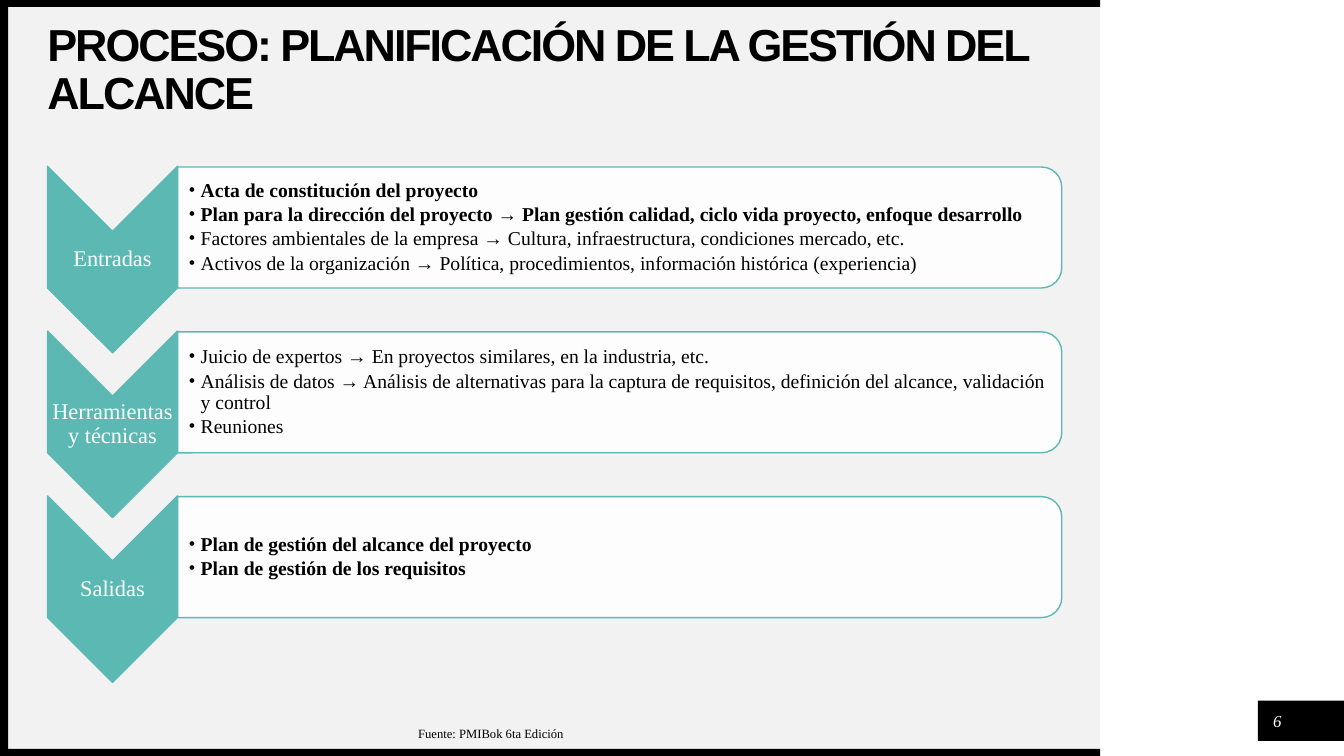
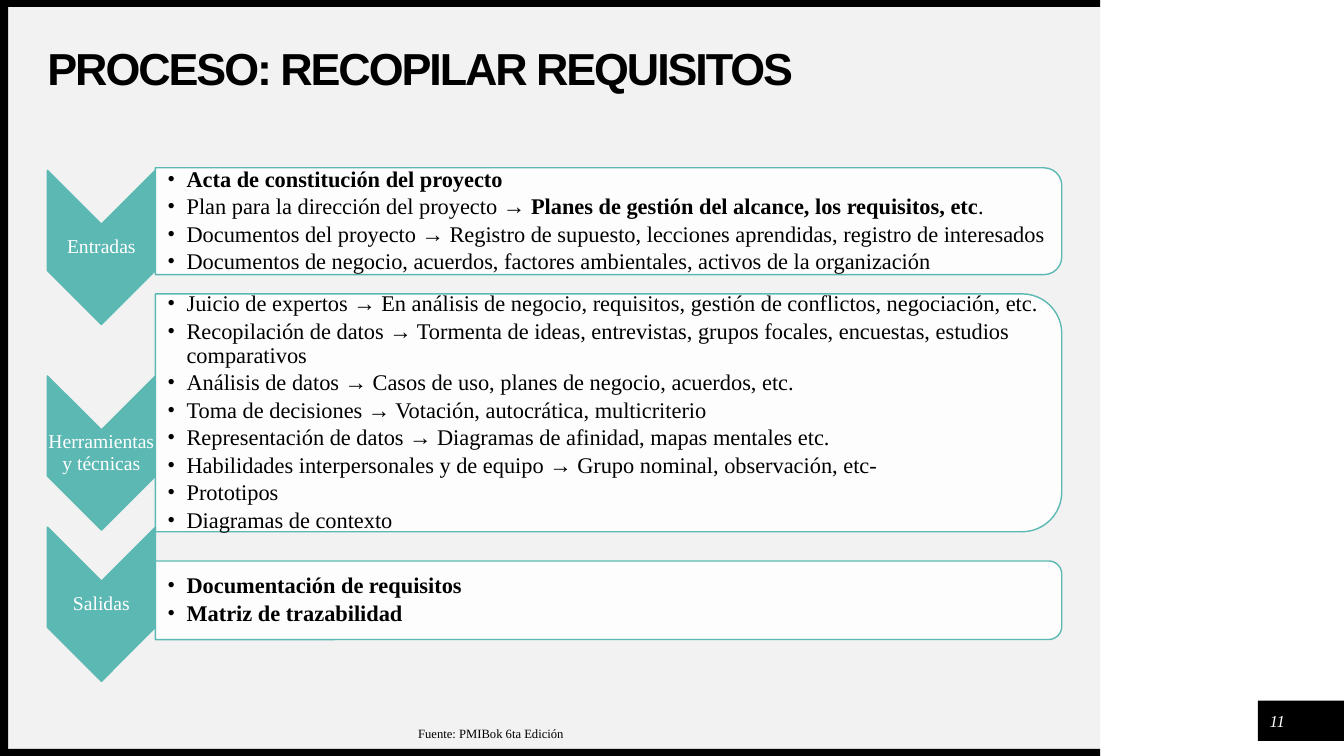
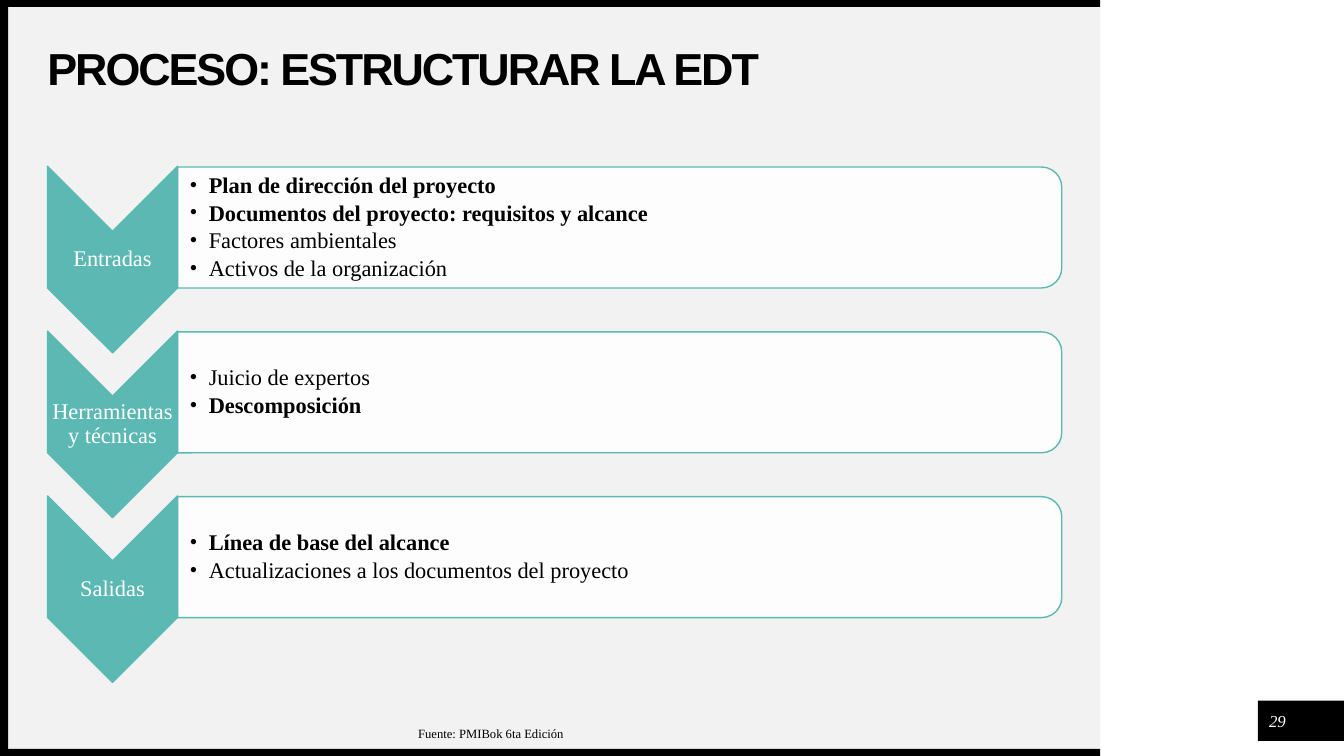
from dataclasses import dataclass
from typing import Optional

from lxml.etree import SubElement
from pptx import Presentation
from pptx.dml.color import RGBColor
from pptx.enum.shapes import MSO_SHAPE
from pptx.enum.text import MSO_ANCHOR, MSO_AUTO_SIZE, PP_ALIGN
from pptx.oxml.ns import qn
from pptx.util import Emu, Inches, Pt

COLORS = {"black": "000000", "white": "FFFFFF", "paper": "F2F2F2", "teal": "5CB8B3"}
BODY_FONT, TITLE_FONT = "Times New Roman", "Arial"
WIDTH, HEIGHT = Inches(13.33), Inches(7.5)

# All positions are percentages of the slide's width and height
LEFT, RIGHT = 3.53, 79
FRAME_RIGHT, BAR_WIDTH, BAR_HEIGHT = 81.85, 0.6, 0.93
CORNER = 1 / 6       # corner radius as a share of the panel's height
CORNER_INSET = 0.29  # share of the radius that the text keeps clear


@dataclass(frozen=True)
class Area:
    left: float
    top: float
    width: float
    height: float

    def emu(self) -> tuple[int, int, int, int]:
        return (round(self.left * WIDTH / 100), round(self.top * HEIGHT / 100),
                round(self.width * WIDTH / 100), round(self.height * HEIGHT / 100))


@dataclass(frozen=True)
class Stage:
    label: str
    arrow_top: float
    panel_top: float
    panel_height: float
    bullets: tuple[str, ...]  # asterisks enclose bold words


@dataclass(frozen=True)
class Style:
    arrow_width: float
    arrow_height: float
    label_size: int
    bullet_size: int
    indent: float
    inset: float


@dataclass(frozen=True)
class Process:
    title: str
    number: int
    style: Style
    stages: tuple[Stage, ...]


WIDE = Style(9.68, 24.67, 16, 14, 0.12, 0.11)
WIDE_LARGE = Style(9.68, 24.67, 16, 16, 0.19, 0.12)
NARROW = Style(8.03, 20.4, 14, 16, 0.19, 0.12)
STAGE_LABELS = ("Entradas", "Herramientas y técnicas", "Salidas")


def even_stages(*bullet_lists: tuple[str, ...]) -> tuple[Stage, ...]:
    """Stages of equal height at an equal pitch."""
    tops = [22 + 21.8 * row for row in range(len(bullet_lists))]
    return tuple(Stage(label, top, top + 0.1, 16, bullets)
                 for label, top, bullets in zip(STAGE_LABELS, tops, bullet_lists))


PROCESSES = (
    Process("PROCESO: PLANIFICACIÓN DE LA GESTIÓN DEL ALCANCE", 6, WIDE, even_stages(
        ("*Acta de constitución del proyecto*",
         "*Plan para la dirección del proyecto → Plan gestión calidad, ciclo vida proyecto, "
         "enfoque desarrollo*",
         "Factores ambientales de la empresa → Cultura, infraestructura, condiciones mercado, etc.",
         "Activos de la organización → Política, procedimientos, información histórica "
         "(experiencia)"),
        ("Juicio de expertos → En proyectos similares, en la industria, etc.",
         "Análisis de datos → Análisis de alternativas para la captura de requisitos, "
         "definición del alcance, validación y control",
         "Reuniones"),
        ("*Plan de gestión del alcance del proyecto*",
         "*Plan de gestión de los requisitos*"))),
    Process("PROCESO: RECOPILAR REQUISITOS", 11, NARROW, (
        Stage(STAGE_LABELS[0], 22.53, 22.2, 14.13, (
            "*Acta de constitución del proyecto*",
            "Plan para la dirección del proyecto → "
            "*Planes de gestión del alcance, los requisitos, etc*.",
            "Documentos del proyecto → Registro de supuesto, lecciones aprendidas, "
            "registro de interesados",
            "Documentos de negocio, acuerdos, factores ambientales, activos de la organización")),
        Stage(STAGE_LABELS[1], 49.73, 38.87, 31.47, (
            "Juicio de expertos → En análisis de negocio, requisitos, gestión de conflictos, "
            "negociación, etc.",
            "Recopilación de datos → Tormenta de ideas, entrevistas, grupos focales, encuestas, "
            "estudios comparativos",
            "Análisis de datos → Casos de uso, planes de negocio, acuerdos, etc.",
            "Toma de decisiones → Votación, autocrática, multicriterio",
            "Representación de datos → Diagramas de afinidad, mapas mentales etc.",
            "Habilidades interpersonales y de equipo → Grupo nominal, observación, etc-",
            "Prototipos",
            "Diagramas de contexto")),
        Stage(STAGE_LABELS[2], 69.73, 74.2, 10.4, (
            "*Documentación de requisitos*",
            "*Matriz de trazabilidad*")))),
    Process("PROCESO: ESTRUCTURAR LA EDT", 29, WIDE_LARGE, even_stages(
        ("*Plan de dirección del proyecto*",
         "*Documentos del proyecto: requisitos y alcance*",
         "Factores ambientales",
         "Activos de la organización"),
        ("Juicio de expertos", "*Descomposición*"),
        ("*Línea de base del alcance*",
         "Actualizaciones a los documentos del proyecto"))),
)


def rgb(color: str) -> RGBColor:
    return RGBColor.from_string(COLORS[color])


def set_font(paragraph, name: str, size: float, color: str, bold: bool = False,
             italic: bool = False, spacing: Optional[float] = None) -> None:
    font = paragraph.font
    font.name, font.size, font.bold, font.italic = name, Pt(size), bold, italic
    font.color.rgb = rgb(color)
    if spacing is not None:
        font._rPr.set("spc", str(round(spacing * 100)))


def set_frame(frame, insets: tuple[float, float, float, float], anchor=MSO_ANCHOR.MIDDLE) -> None:
    frame.word_wrap, frame.auto_size = True, MSO_AUTO_SIZE.NONE
    frame.vertical_anchor = anchor
    (frame.margin_left, frame.margin_top,
     frame.margin_right, frame.margin_bottom) = map(Inches, insets)


def add_text_frame(slide, area: Area, insets=(0, 0, 0, 0), anchor=MSO_ANCHOR.MIDDLE):
    frame = slide.shapes.add_textbox(*area.emu()).text_frame
    set_frame(frame, insets, anchor)
    return frame


def add_block(slide, area: Area, color: str, kind=MSO_SHAPE.RECTANGLE,
              outline: Optional[str] = None, turned: bool = False):
    """Draw a filled shape; a turned one covers the area after a quarter turn."""
    left, top, width, height = area.emu()
    if turned:
        left, top = left + (width - height) // 2, top + (height - width) // 2
        width, height = height, width
    block = slide.shapes.add_shape(kind, Emu(left), Emu(top), Emu(width), Emu(height))
    block.rotation = 90 if turned else 0
    block.shadow.inherit = False
    block.fill.solid()
    block.fill.fore_color.rgb = rgb(color)
    if outline:
        block.line.color.rgb, block.line.width = rgb(outline), Pt(1)
    else:
        block.line.fill.background()
    return block


def move_frame_to_layout(slide, layout) -> None:
    """Draw the shared frame once and keep it on the layout."""
    for area, color in (
            (Area(0, 0, FRAME_RIGHT, 100), "paper"),
            (Area(93.6, 92.67, 6.4, 5.33), "black"),
            (Area(0, 100 - BAR_HEIGHT, FRAME_RIGHT, BAR_HEIGHT), "black"),
            (Area(0, 0, FRAME_RIGHT, BAR_HEIGHT), "black"),
            (Area(0, 0, BAR_WIDTH, 100), "black")):
        block = add_block(slide, area, color)
        layout.shapes._spTree.append(block._element)


def add_title(slide, words: str) -> None:
    title = slide.shapes.title
    title.left, title.top, title.width, title.height = Area(LEFT, 6.27, RIGHT - LEFT, 6.27).emu()
    set_frame(title.text_frame, (0, 0, 0, 0))
    paragraph = title.text_frame.paragraphs[0]
    paragraph.text, paragraph.alignment, paragraph.line_spacing = words, PP_ALIGN.LEFT, 0.9
    set_font(paragraph, TITLE_FONT, 32, "black", bold=True, spacing=-1.5)


def add_bullet(paragraph, words: str, style: Style) -> None:
    properties = paragraph._p.get_or_add_pPr()
    properties.set("marL", str(Inches(style.indent)))
    properties.set("indent", str(-Inches(style.indent)))
    SubElement(properties, qn("a:buFont")).set("typeface", BODY_FONT)
    SubElement(properties, qn("a:buChar")).set("char", "•")
    paragraph.line_spacing = 0.9
    paragraph.space_after = Pt(round(0.15 * style.bullet_size, 1))
    pieces = [(part, index % 2 == 1) for index, part in enumerate(words.split("*")) if part]
    set_font(paragraph, BODY_FONT, style.bullet_size, "black", bold=pieces[0][1])
    for part, bold in pieces:
        run = paragraph.add_run()
        run.text = part
        if len(pieces) > 1:
            run.font.bold = bold


def add_stage(slide, stage: Stage, style: Style) -> None:
    # Downward arrow and its label, clear of notch and point
    arrow = Area(LEFT, stage.arrow_top, style.arrow_width, style.arrow_height)
    add_block(slide, arrow, "teal", MSO_SHAPE.CHEVRON, "teal", turned=True)
    notch = arrow.width / 2 * WIDTH / HEIGHT
    label_area = Area(LEFT, arrow.top + notch, arrow.width, arrow.height - 2 * notch)
    label = add_text_frame(slide, label_area, (0.01,) * 4).paragraphs[0]
    label.text, label.alignment, label.line_spacing = stage.label, PP_ALIGN.CENTER, 0.9
    set_font(label, BODY_FONT, style.label_size, "white")

    # Panel rounded on its right side
    panel_left = LEFT + style.arrow_width
    panel_area = Area(panel_left, stage.panel_top, RIGHT - panel_left, stage.panel_height)
    panel = add_block(slide, panel_area, "white", MSO_SHAPE.ROUND_2_SAME_RECTANGLE, "teal",
                      turned=True)
    panel_color = panel._element.spPr.find(qn("a:solidFill"))[0]
    SubElement(panel_color, qn("a:alpha")).set("val", "90000")

    # Bullets
    inset = stage.panel_height * CORNER * CORNER_INSET
    bullets_area = Area(panel_left, stage.panel_top + inset,
                        panel_area.width - inset * HEIGHT / WIDTH,
                        stage.panel_height - 2 * inset)
    frame = add_text_frame(slide, bullets_area, (style.inset, 0.01, 0.01, 0.01))
    for row, words in enumerate(stage.bullets):
        add_bullet(frame.add_paragraph() if row else frame.paragraphs[0], words, style)


def add_footer(slide, number: int) -> None:
    page = add_text_frame(slide, Area(93.92, 93.33, 2.25, 4)).paragraphs[0]
    page.text, page.alignment = str(number), PP_ALIGN.CENTER
    set_font(page, BODY_FONT, 12, "white", italic=True)
    source = add_text_frame(slide, Area(30.38, 95.33, 48.61, 3.33), (0.1, 0.05, 0.1, 0.05),
                            MSO_ANCHOR.TOP).paragraphs[0]
    source.text = "Fuente: PMIBok 6ta Edición"
    set_font(source, BODY_FONT, 9, "black")


def main() -> None:
    deck = Presentation()
    deck.slide_width, deck.slide_height = WIDTH, HEIGHT
    layout = deck.slide_layouts[5]
    for index, process in enumerate(PROCESSES):
        slide = deck.slides.add_slide(layout)
        if index == 0:
            move_frame_to_layout(slide, layout)
        add_title(slide, process.title)
        for stage in process.stages:
            add_stage(slide, stage, process.style)
        add_footer(slide, process.number)
    deck.save("out.pptx")


if __name__ == "__main__":
    main()
